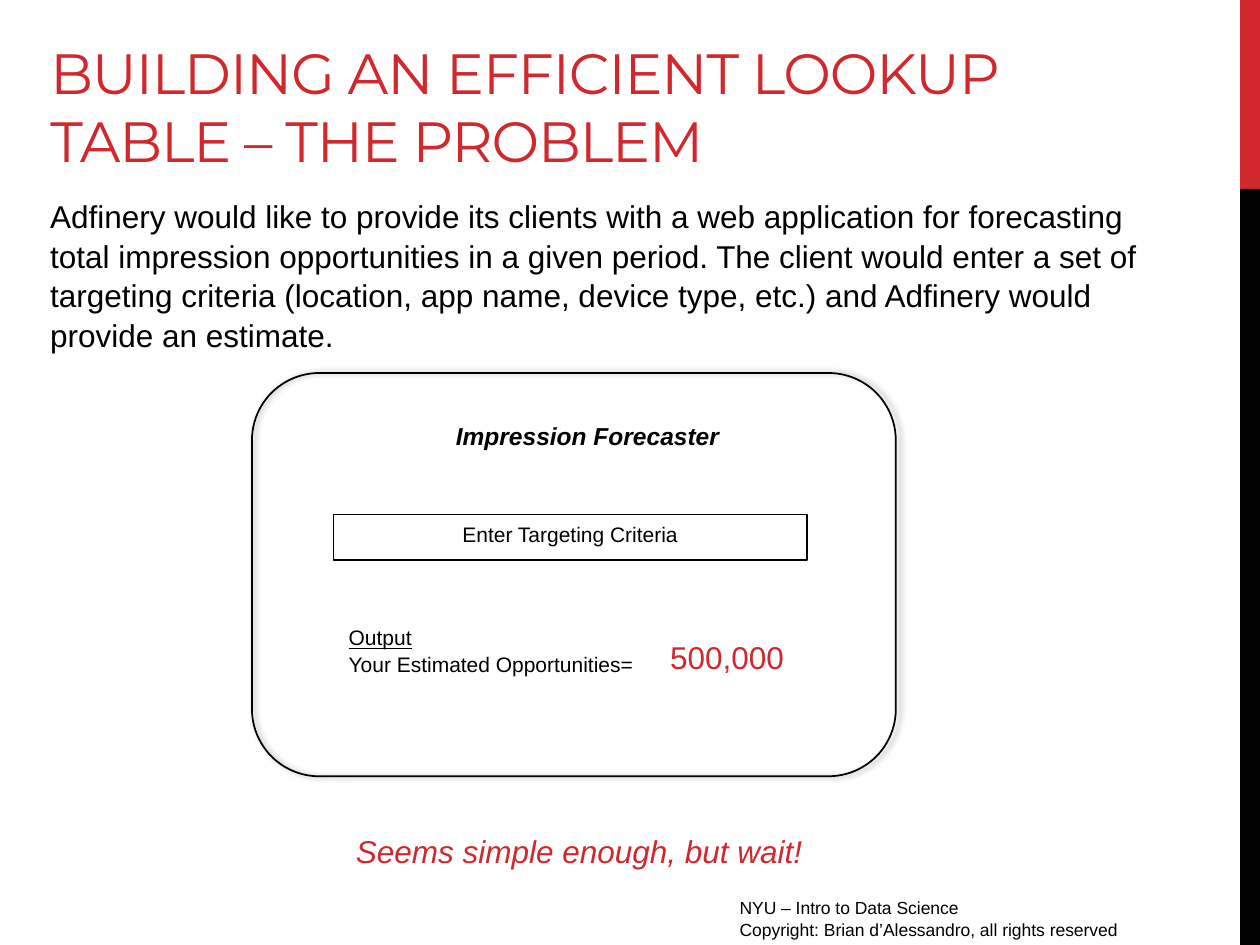
import pptx
import pptx.dml.color
import pptx.enum.shapes
import pptx.enum.text
import pptx.oxml
import pptx.oxml.ns
import pptx.util
from lxml import etree

Cm = pptx.util.Cm
Pt = pptx.util.Pt
SHAPE = pptx.enum.shapes.MSO_SHAPE
ALIGN = pptx.enum.text.PP_ALIGN
ANCHOR = pptx.enum.text.MSO_ANCHOR

COLORS = {"red": "D1282E", "black": "000000"}


def rgb(name):
    return pptx.dml.color.RGBColor.from_string(COLORS[name])


class SlideBuilder:
    font = "Arial"
    heading_font = "Montserrat"
    line_spacing = 1.05

    def __init__(self, slide):
        self.slide = slide
        self.shapes = slide.shapes

    def start_group(self):
        """Send the elements that follow into a new group."""
        self.shapes = self.slide.shapes.add_group_shape().shapes

    def end_group(self):
        self.shapes = self.slide.shapes

    def title(self, wording, left, top, width, height):
        title = self.slide.shapes.title
        title.left, title.top = Cm(left), Cm(top)
        title.width, title.height = Cm(width), Cm(height)
        frame = title.text_frame
        frame.text = wording
        frame.word_wrap = True
        frame.auto_size = pptx.enum.text.MSO_AUTO_SIZE.NONE
        frame.vertical_anchor = ANCHOR.BOTTOM
        paragraph = frame.paragraphs[0]
        paragraph.alignment = ALIGN.LEFT
        paragraph.line_spacing = 1.0
        paragraph.font.name = self.heading_font
        paragraph.font.size = Pt(32.4)
        paragraph.font.color.rgb = rgb("red")
        paragraph.runs[0].font._element.set("spc", "-60")

    def shape(self, kind, left, top, width, height, fill=None, line=None):
        """Add a preset shape; line is a width in points."""
        shape = self.shapes.add_shape(kind, Cm(left), Cm(top), Cm(width), Cm(height))
        shape.shadow.inherit = False
        if fill:
            shape.fill.solid()
            shape.fill.fore_color.rgb = rgb(fill)
        else:
            shape.fill.background()
        if line:
            shape.line.width = Pt(line)
            shape.line.color.rgb = rgb("black")
        else:
            shape.line.fill.background()
        return shape

    def soft_shadow(self, shape):
        effects = shape._element.spPr.find(pptx.oxml.ns.qn("a:effectLst"))
        shadow = etree.SubElement(
            effects, pptx.oxml.ns.qn("a:outerShdw"),
            blurRad=str(int(Pt(3.1))), dist=str(int(Pt(1.8))), dir="0",
            rotWithShape="0")
        color = etree.SubElement(
            shadow, pptx.oxml.ns.qn("a:srgbClr"), val=COLORS["black"])
        etree.SubElement(color, pptx.oxml.ns.qn("a:alpha"), val="40000")

    def label(self, shape, lines, size, color="black", align=ALIGN.LEFT,
              bold=False, italic=False):
        frame = shape.text_frame
        frame.text = "\n".join(lines)
        frame.word_wrap = True
        frame.vertical_anchor = ANCHOR.TOP
        for paragraph in frame.paragraphs:
            paragraph.alignment = align
            paragraph.line_spacing = self.line_spacing
            font = paragraph.font
            font.name, font.size = self.font, Pt(size)
            font.bold, font.italic = bold, italic
            font.color.rgb = rgb(color)
        return frame

    def text(self, lines, left, top, width, height, size, **style):
        box = self.shapes.add_textbox(Cm(left), Cm(top), Cm(width), Cm(height))
        return self.label(box, lines, size, **style)


def main():
    deck = pptx.Presentation()
    deck.slide_width, deck.slide_height = Cm(25.4), Cm(19.05)
    page = SlideBuilder(deck.slides.add_slide(deck.slide_layouts[5]))

    page.shape(SHAPE.RECTANGLE, 25, 0, 0.4, 3.81, fill="red")
    page.shape(SHAPE.RECTANGLE, 25, 3.81, 0.4, 15.24, fill="black")
    page.text(["NYU – Intro to Data Science",
               "Copyright: Brian d’Alessandro, all rights reserved"],
              14.66, 17.93, 9.53, 0.79, 10)

    page.title("BUILDING AN EFFICIENT LOOKUP TABLE – THE PROBLEM",
               0.76, 1.65, 22.12, 1.98)

    page.start_group()
    app_window = page.shape(SHAPE.ROUNDED_RECTANGLE, 5.08, 7.52, 12.98, 8.13, line=1)
    page.soft_shadow(app_window)
    criteria_field = page.shape(SHAPE.RECTANGLE, 6.72, 10.37, 9.55, 0.92, line=0.75)
    page.label(criteria_field, ["Enter Targeting Criteria"], 12, align=ALIGN.CENTER)
    output = page.text(["Output", "Your Estimated Opportunities="],
                       6.78, 12.45, 9.19, 1.52, 12)
    output.paragraphs[0].font.underline = True
    page.text(["500,000"], 13.26, 12.7, 4.22, 1.22, 18, color="red")
    page.text(["Impression Forecaster"], 8.94, 8.33, 7.24, 0.81, 14,
              bold=True, italic=True)
    page.end_group()

    page.text(["Adfinery would like to provide its clients with a web application for "
               "forecasting total impression opportunities in a given period. The client "
               "would enter a set of targeting criteria (location, app name, device type, "
               "etc.) and Adfinery would provide an estimate."],
              0.76, 3.81, 23.16, 3.33, 18)
    page.text(["Seems simple enough, but wait!"], 2.39, 16.61, 18.57, 1.02, 18,
              color="red", align=ALIGN.CENTER, italic=True)

    deck.save("out.pptx")


if __name__ == "__main__":
    main()
